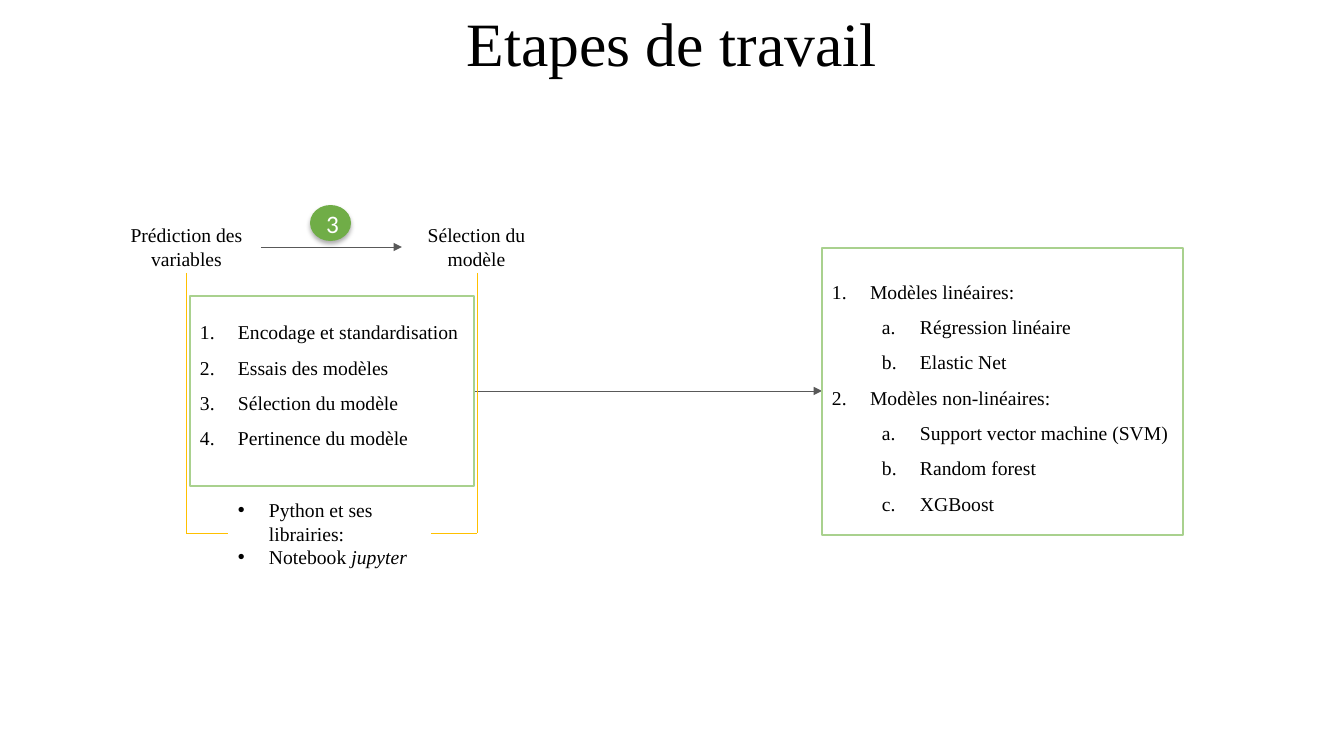
from dataclasses import dataclass

from lxml import etree
from pptx import Presentation
from pptx.dml.color import RGBColor
from pptx.enum.shapes import MSO_CONNECTOR, MSO_SHAPE
from pptx.enum.text import MSO_ANCHOR, PP_ALIGN
from pptx.oxml.ns import qn
from pptx.util import Emu, Pt

SLIDE_W, SLIDE_H = 1344, 756
SCALE = 12192000 / SLIDE_W
STRAIGHT = MSO_CONNECTOR.STRAIGHT
RECTANGLE, OVAL = MSO_SHAPE.RECTANGLE, MSO_SHAPE.OVAL
MIDDLE = MSO_ANCHOR.MIDDLE
LEFT, CENTER = PP_ALIGN.LEFT, PP_ALIGN.CENTER


@dataclass(frozen=True)
class Theme:
    ink: str = "000000"
    paper: str = "FFFFFF"
    arrow: str = "595959"
    bracket: str = "FFC000"
    frame: str = "A9D18E"
    badge: str = "70AD47"
    serif: str = "Times New Roman"
    sans: str = "Calibri"
    title_size: int = 44
    badge_size: int = 18
    body_size: int = 14
    thin: float = 0.5
    medium: float = 1


def px(length):
    return Emu(round(length * SCALE))


class StepSlide:
    def __init__(self, presentation, theme):
        self.theme = theme
        self.shapes = presentation.slides.add_slide(presentation.slide_layouts[6]).shapes

    def style(self, run, size=None, font=None, color=None):
        run.font.size = Pt(size or self.theme.body_size)
        run.font.name = font or self.theme.serif
        run.font.color.rgb = RGBColor.from_string(color or self.theme.ink)

    def frame(self, shape, bottom=5, side=10):
        frame = shape.text_frame
        frame.word_wrap = True
        frame.vertical_anchor = MIDDLE
        frame.margin_left = frame.margin_right = px(side)
        frame.margin_top, frame.margin_bottom = px(5), px(bottom)
        return frame

    def text(self, box, words, size=None, spacing=1.0):
        label = self.shapes.add_textbox(*map(px, box))
        paragraph = self.frame(label).paragraphs[0]
        paragraph.text = words
        paragraph.alignment = CENTER
        paragraph.line_spacing = spacing
        self.style(paragraph.runs[0], size)

    def items(self, frame, entries, indent, spacing, markers):
        for index, (level, words) in enumerate(entries):
            paragraph = frame.add_paragraph() if index else frame.paragraphs[0]
            paragraph.text = words
            paragraph.alignment = LEFT
            paragraph.level = level
            paragraph.line_spacing = spacing
            self.style(paragraph.runs[0])
            properties = paragraph._p.get_or_add_pPr()
            properties.set("marL", str(px(indent + 50 * level)))
            properties.set("indent", str(-px(indent)))
            tag, attribute, value = markers[level]
            if tag == "a:buChar":
                etree.SubElement(properties, qn("a:buFont")).set("typeface", "Arial")
            etree.SubElement(properties, qn(tag)).set(attribute, value)

    def numbered_box(self, box, entries, bottom=5):
        panel = self.shapes.add_shape(RECTANGLE, *map(px, box))
        panel.shadow.inherit = False
        panel.fill.background()
        panel.line.color.rgb = RGBColor.from_string(self.theme.frame)
        panel.line.width = Pt(self.theme.medium)
        markers = [("a:buAutoNum", "type", kind) for kind in ("arabicPeriod", "alphaLcPeriod")]
        self.items(self.frame(panel, bottom), entries, 38, 1.5, markers)

    def bullets(self, box, entries, emphasis):
        tools = self.shapes.add_textbox(*map(px, box))
        frame = self.frame(tools)
        self.items(frame, entries, 31, 1.0, [("a:buChar", "char", "•")])
        ending = frame.paragraphs[-1].add_run()
        ending.text = emphasis
        self.style(ending)
        ending.font.italic = True

    def line(self, start, end, color):
        connector = self.shapes.add_connector(STRAIGHT, *map(px, start + end))
        connector.line.color.rgb = RGBColor.from_string(color)
        connector.line.width = Pt(self.theme.thin)
        etree.SubElement(connector._element.spPr, qn("a:effectLst"))
        return connector

    def arrow(self, start, end):
        connector = self.line(start, end, self.theme.arrow)
        outline = connector.line._get_or_add_ln()
        etree.SubElement(outline, qn("a:tailEnd")).set("type", "triangle")

    def badge(self, box, number):
        disc = self.shapes.add_shape(OVAL, *map(px, box))
        disc.shadow.inherit = False
        disc.fill.solid()
        disc.fill.fore_color.rgb = RGBColor.from_string(self.theme.badge)
        disc.line.fill.background()
        effects = disc._element.spPr.find(qn("a:effectLst"))
        shadow = etree.SubElement(
            effects, qn("a:outerShdw"), blurRad=str(Pt(3.5)), dist=str(Pt(2.2)),
            dir="5400000", rotWithShape="0")
        tint = etree.SubElement(shadow, qn("a:srgbClr"), val=self.theme.ink)
        etree.SubElement(tint, qn("a:alpha"), val="32000")
        frame = self.frame(disc, side=0)
        frame.margin_left = px(4)
        frame.word_wrap = False
        paragraph = frame.paragraphs[0]
        paragraph.text = number
        paragraph.alignment = CENTER
        self.style(paragraph.runs[0], self.theme.badge_size, self.theme.sans, self.theme.paper)


def main():
    presentation = Presentation()
    presentation.slide_width, presentation.slide_height = px(SLIDE_W), px(SLIDE_H)
    theme = Theme()
    slide = StepSlide(presentation, theme)

    slide.text((0, 0, SLIDE_W, 93), "Etapes de travail", theme.title_size, 0.9)
    slide.arrow((474, 391), (822, 391))
    slide.numbered_box((822, 248, 361, 287), [
        (0, "Modèles linéaires:"),
        (1, "Régression linéaire"),
        (1, "Elastic Net"),
        (0, "Modèles non-linéaires:"),
        (1, "Support vector machine (SVM)"),
        (1, "Random forest"),
        (1, "XGBoost"),
    ])

    for left, stage in ((112, "Prédiction des variables"), (402, "Sélection du modèle")):
        slide.text((left, 220, 149, 53), stage)
    slide.arrow((261, 247), (402, 247))

    slide.bullets((228, 507, 203, 53),
                  [(0, "Python et ses librairies:"), (0, "Notebook ")], "jupyter")
    for outer, inner in ((186, 228), (477, 431)):
        slide.line((outer, 273), (outer, 533), theme.bracket)
        slide.line((inner, 533), (outer, 533), theme.bracket)

    slide.badge((310, 205, 41, 36), "3")
    slide.numbered_box((190, 296, 284, 190), [
        (0, "Encodage et standardisation"),
        (0, "Essais des modèles"),
        (0, "Sélection du modèle"),
        (0, "Pertinence du modèle"),
    ], bottom=29)

    presentation.save("out.pptx")


if __name__ == "__main__":
    main()
